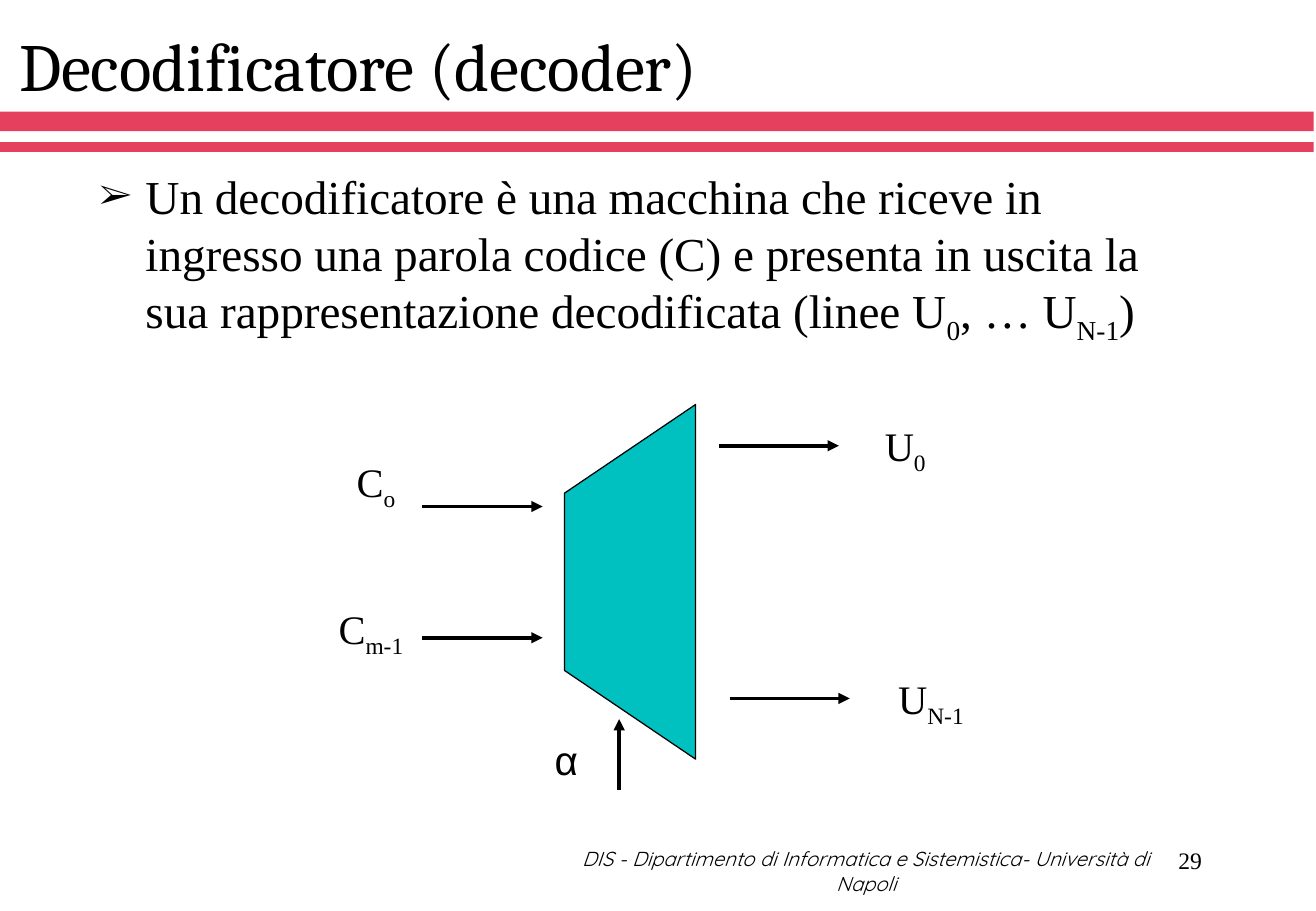
from dataclasses import dataclass

import pptx
import pptx.dml.color
import pptx.enum.dml
import pptx.enum.shapes
import pptx.enum.text
import pptx.oxml
import pptx.oxml.ns
import pptx.util
from lxml import etree

PX = 9144  # EMU in one px, 100 px to the inch
ANCHOR = pptx.enum.text.MSO_ANCHOR
ALIGN = pptx.enum.text.PP_ALIGN


@dataclass(frozen=True)
class Theme:
    ink: str = "000000"
    band: str = "E5405D"
    decoder: str = "00C0C0"
    serif: str = "Times New Roman"
    heading: str = "Cambria"
    sans: str = "Arial"
    credit: str = "Quicksand"
    title_size: int = 40
    body_size: int = 28
    label_size: int = 24
    number_size: int = 14
    credit_size: int = 12


THEME = Theme()


@dataclass(frozen=True)
class Band:
    top: int
    height: int


@dataclass(frozen=True)
class Arrow:
    x1: int
    y1: int
    x2: int
    y2: int


@dataclass(frozen=True)
class Text:
    """Pieces alternate between normal text and subscript."""
    left: int
    top: int
    width: int
    height: int
    pieces: tuple[str, ...]
    size: int = THEME.label_size
    font: str = THEME.serif
    italic: bool = False
    wrap: bool = False
    align: ALIGN = ALIGN.LEFT
    anchor: ANCHOR = ANCHOR.TOP
    bullet: str = ""


BANDS = [Band(92, 16), Band(117, 8)]
DECODER_OUTLINE = [(573, 333), (465, 406), (465, 552), (573, 625)]
ARROWS = [
    Arrow(348, 417, 447, 417),
    Arrow(348, 525, 447, 525),
    Arrow(592, 367, 691, 367),
    Arrow(601, 575, 700, 575),
    Arrow(510, 650, 510, 592),
]
TEXTS = [
    Text(6, 33, 921, 58, ("Decodificatore (decoder)",), THEME.title_size,
         THEME.heading, wrap=True, anchor=ANCHOR.BOTTOM),
    Text(72, 133, 921, 242,
         ("Un decodificatore è una macchina che riceve in ingresso una parola "
          "codice (C) e presenta in uscita la sua rappresentazione decodificata "
          "(linee U", "0", ", … U", "N-1", ")"),
         THEME.body_size, wrap=True, bullet="➢"),
    Text(284, 371, 60, 56, ("C", "o")),
    Text(269, 492, 79, 56, ("C", "m-1")),
    Text(719, 342, 60, 56, ("U", "0")),
    Text(730, 550, 80, 56, ("U", "N-1")),
    Text(447, 600, 45, 50, ("α",), font=THEME.sans),
    Text(450, 702, 527, 30,
         ("DIS - Dipartimento di Informatica e Sistemistica- Università di Napoli",),
         THEME.credit_size, THEME.credit, italic=True, wrap=True,
         align=ALIGN.CENTER, anchor=ANCHOR.MIDDLE),
    Text(775, 683, 225, 50, ("29",), THEME.number_size,
         align=ALIGN.RIGHT, anchor=ANCHOR.MIDDLE),
]


def px(length: int) -> pptx.util.Emu:
    return pptx.util.Emu(length * PX)


def rgb(colour: str) -> pptx.dml.color.RGBColor:
    return pptx.dml.color.RGBColor.from_string(colour)


def add_part(parent: etree._Element, tag: str, **attributes: str) -> etree._Element:
    return etree.SubElement(parent, pptx.oxml.ns.qn(tag), attributes)


def draw_band(slide: pptx.slide.Slide, band: Band) -> None:
    stripe = slide.shapes.add_shape(pptx.enum.shapes.MSO_SHAPE.RECTANGLE,
                                    0, px(band.top), px(1082), px(band.height))
    stripe.shadow.inherit = False
    stripe.fill.solid()
    stripe.fill.fore_color.rgb = rgb(THEME.band)
    stripe.line.fill.background()


def draw_decoder(slide: pptx.slide.Slide) -> None:
    start, *corners = DECODER_OUTLINE
    outline = slide.shapes.build_freeform(*start, scale=PX)
    outline.add_line_segments(corners, close=True)
    decoder = outline.convert_to_shape()
    decoder.shadow.inherit = False
    decoder.fill.solid()
    decoder.fill.fore_color.rgb = rgb(THEME.decoder)
    decoder.line.color.rgb = rgb(THEME.ink)
    decoder.line.width = pptx.util.Pt(0.75)


def draw_arrow(slide: pptx.slide.Slide, arrow: Arrow) -> None:
    signal = slide.shapes.add_connector(
        pptx.enum.shapes.MSO_CONNECTOR.STRAIGHT,
        px(arrow.x1), px(arrow.y1), px(arrow.x2), px(arrow.y2))
    signal.line.color.rgb = rgb(THEME.ink)
    signal.line.width = pptx.util.Pt(2.25)
    add_part(signal.line._get_or_add_ln(), "a:tailEnd", type="triangle")
    add_part(signal._element.spPr, "a:effectLst")


def draw_text(slide: pptx.slide.Slide, text: Text) -> None:
    box = slide.shapes.add_textbox(px(text.left), px(text.top),
                                   px(text.width), px(text.height))
    frame = box.text_frame
    frame.word_wrap = text.wrap
    frame.vertical_anchor = text.anchor
    paragraph = frame.paragraphs[0]
    paragraph.alignment = text.align
    if text.bullet:
        properties = paragraph._p.get_or_add_pPr()
        properties.set("marL", str(px(38)))
        properties.set("indent", str(px(-38)))
        add_part(properties, "a:buSzPct", val="75000")
        add_part(properties, "a:buFont", typeface=text.font)
        add_part(properties, "a:buChar", char=text.bullet)
    paragraph.font.size = pptx.util.Pt(text.size)
    paragraph.font.name = text.font
    paragraph.font.italic = text.italic
    paragraph.font.color.rgb = rgb(THEME.ink)
    for index, piece in enumerate(text.pieces):
        run = paragraph.add_run()
        run.text = piece
        if index % 2:
            run.font._element.set("baseline", "-25000")


def main() -> None:
    deck = pptx.Presentation()
    deck.slide_width, deck.slide_height = px(1084), px(750)
    slide = deck.slides.add_slide(deck.slide_layouts[6])

    # Header bands
    for band in BANDS:
        draw_band(slide, band)

    # Decoder with its input, output and enable lines
    draw_decoder(slide)
    for arrow in ARROWS:
        draw_arrow(slide, arrow)

    # Title, definition, signal labels and footer
    for text in TEXTS:
        draw_text(slide, text)

    deck.save("out.pptx")


if __name__ == "__main__":
    main()
